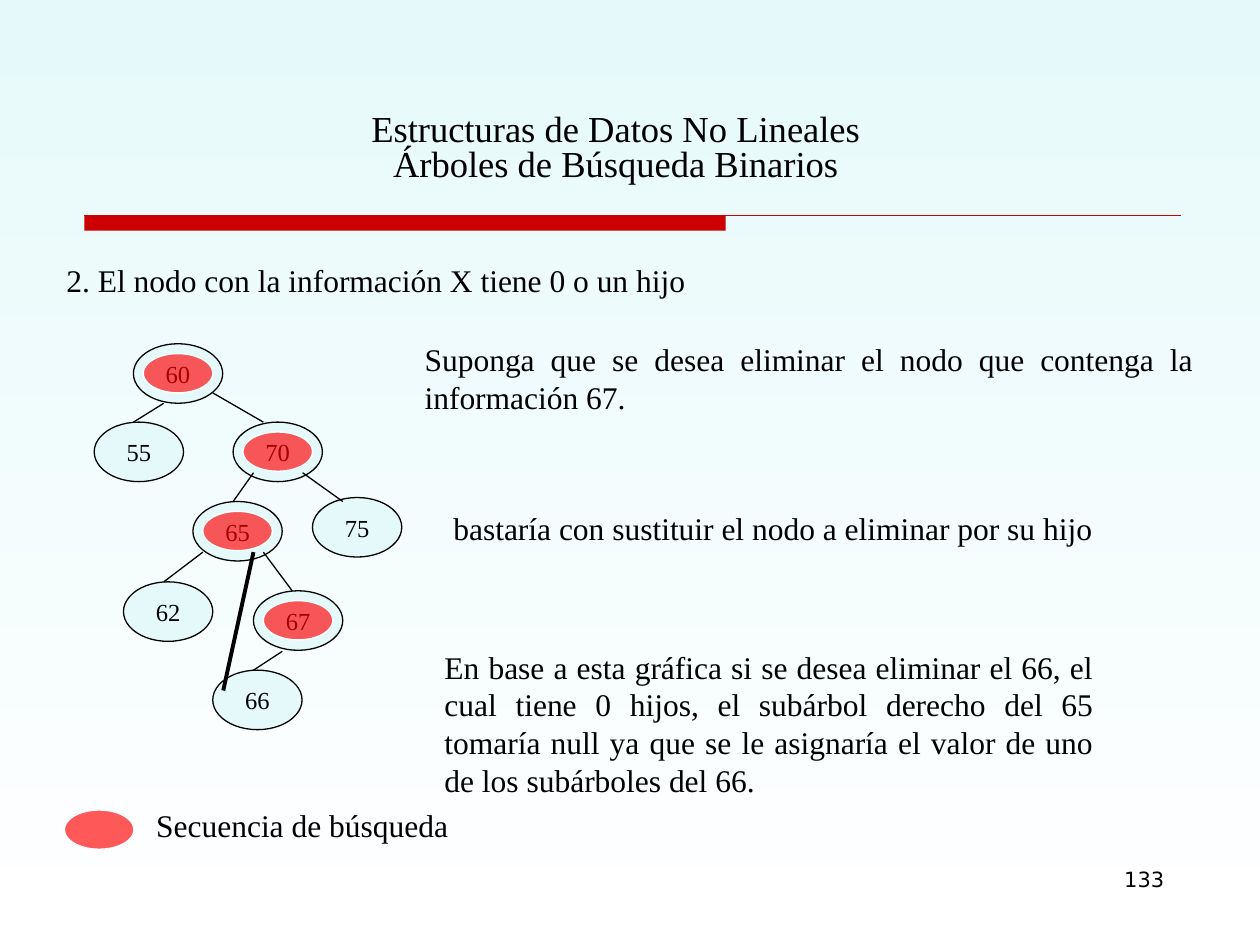
"""Build the slide on deleting a node from a binary search tree."""
from lxml import etree
from pptx import Presentation
from pptx.dml.color import RGBColor
from pptx.enum.shapes import MSO_CONNECTOR, MSO_SHAPE
from pptx.enum.text import MSO_ANCHOR, PP_ALIGN
from pptx.oxml.ns import qn
from pptx.util import Cm, Pt

STRAIGHT = MSO_CONNECTOR.STRAIGHT
OVAL, RECTANGLE = MSO_SHAPE.OVAL, MSO_SHAPE.RECTANGLE
TOP, MIDDLE, BOTTOM = MSO_ANCHOR.TOP, MSO_ANCHOR.MIDDLE, MSO_ANCHOR.BOTTOM
LEFT, CENTER, RIGHT, JUSTIFY = PP_ALIGN.LEFT, PP_ALIGN.CENTER, PP_ALIGN.RIGHT, PP_ALIGN.JUSTIFY

NODE_SIZE = (1.8, 1.2)
MARK_SIZE = (1.4, 0.79)
MARK_INSET = 0.2
NODES = {
    "60": (2.69, 6.93), "55": (1.9, 8.51), "70": (4.7, 8.51), "75": (6.3, 10.03),
    "65": (3.89, 10.11), "62": (2.49, 11.73), "67": (5.11, 11.91), "66": (4.29, 13.51),
}
SEARCH_PATH = ("60", "70", "65", "67")
EDGES = (
    ((3.3, 8.13), (2.69, 8.51)),
    ((4.29, 7.92), (5.31, 8.51)),
    ((6.1, 9.53), (6.91, 10.11)),
    ((5.11, 9.53), (4.7, 10.11)),
    ((4.09, 11.13), (3.3, 11.73)),
    ((5.31, 11.13), (5.89, 11.91)),
    ((5.69, 13.13), (5.11, 13.51)),
)
TEXTS = (
    ("2. El nodo con la información X tiene 0 o un hijo", (1.09, 5.13, 19.2, 1.02), LEFT),
    ("Suponga que se desea eliminar el nodo que contenga la información 67.",
     (8.31, 6.73, 16, 1.78), JUSTIFY),
    ("bastaría con sustituir el nodo a eliminar por su hijo", (8.89, 10.13, 13.61, 1.02), LEFT),
    ("En base a esta gráfica si se desea eliminar el 66, el cual tiene 0 hijos, "
     "el subárbol derecho del 65 tomaría null ya que se le asignaría el valor de uno "
     "de los subárboles del 66.", (8.71, 12.93, 13.59, 3.3), JUSTIFY),
    ("Secuencia de búsqueda", (2.9, 16.13, 6.6, 1.02), LEFT),
)


def color(value):
    return RGBColor.from_string(value)


class SlideBuilder:
    font = "Times New Roman"
    ink = "000000"
    pale = "E6F9FA"
    white = "FFFFFF"
    accent = "CC0000"
    mark_color = "FF0000"
    thin = 0.75

    def __init__(self, slide):
        self.slide = slide

    def background(self):
        fill = self.slide.background.fill
        fill.gradient()
        fill.gradient_angle = 270
        for stop, value in zip(fill.gradient_stops, (self.pale, self.white)):
            stop.color.rgb = color(value)

    def add_lines(self, frame, lines, size, align, font=None):
        paragraph = frame.paragraphs[0]
        paragraph.alignment = align
        for index, line in enumerate(lines):
            if index:
                paragraph.add_line_break()
            run = paragraph.add_run()
            run.text = line
            run.font.size = Pt(size)
            run.font.name = font or self.font
            run.font.color.rgb = color(self.ink)
        return paragraph

    def text(self, lines, box, align=LEFT, size=18, anchor=TOP, font=None):
        frame = self.slide.shapes.add_textbox(*map(Cm, box)).text_frame
        frame.word_wrap = True
        frame.vertical_anchor = anchor
        return self.add_lines(frame, lines, size, align, font)

    def shape(self, kind, box, fill, outline=None):
        shape = self.slide.shapes.add_shape(kind, *map(Cm, box))
        shape.shadow.inherit = False
        shape.fill.solid()
        shape.fill.fore_color.rgb = color(fill)
        if outline:
            shape.line.color.rgb = color(outline)
            shape.line.width = Pt(self.thin)
        else:
            shape.line.fill.background()
        return shape

    def node(self, label, position):
        frame = self.shape(OVAL, position + NODE_SIZE, self.pale, self.ink).text_frame
        frame.word_wrap = False
        frame.vertical_anchor = MIDDLE
        self.add_lines(frame, [label], 14, CENTER)

    def mark(self, position):
        shape = self.shape(OVAL, position + MARK_SIZE, self.mark_color, self.white)
        fill_color = shape._element.spPr.find(qn("a:solidFill"))[0]
        etree.SubElement(fill_color, qn("a:alpha"), val="65000")

    def line(self, start, end, width=thin, stroke=ink):
        connector = self.slide.shapes.add_connector(STRAIGHT, *map(Cm, start + end))
        connector.line.color.rgb = color(stroke)
        connector.line.width = Pt(width)
        etree.SubElement(connector._element.spPr, qn("a:effectLst"))


def main():
    presentation = Presentation()
    presentation.slide_width, presentation.slide_height = Cm(25.4), Cm(19.05)
    builder = SlideBuilder(presentation.slides.add_slide(presentation.slide_layouts[6]))
    builder.background()

    builder.shape(RECTANGLE, (1.7, 4.34, 12.93, 0.31), builder.accent)
    builder.line((1.7, 4.34), (23.8, 4.34), stroke=builder.accent)
    title = builder.text(("Estructuras de Datos No Lineales", "Árboles de Búsqueda Binarios"),
                         (1.3, 1.73, 22.23, 2.11), CENTER, 20.9, BOTTOM)
    title.line_spacing = 0.8

    for label, position in NODES.items():
        builder.node(label, position)
    for start, end in EDGES:
        builder.line(start, end)
    for label in SEARCH_PATH:
        left, top = NODES[label]
        builder.mark((left + MARK_INSET, top + MARK_INSET))
    builder.mark((1.3, 16.33))
    builder.line((5.11, 11.13), (4.5, 13.92), width=2.25)

    for content, box, align in TEXTS:
        builder.text([content], box, align)
    builder.text(["133"], (18.21, 17.35, 5.51, 1.32), RIGHT, 12, font="DejaVu Sans")
    presentation.save("out.pptx")


if __name__ == "__main__":
    main()
